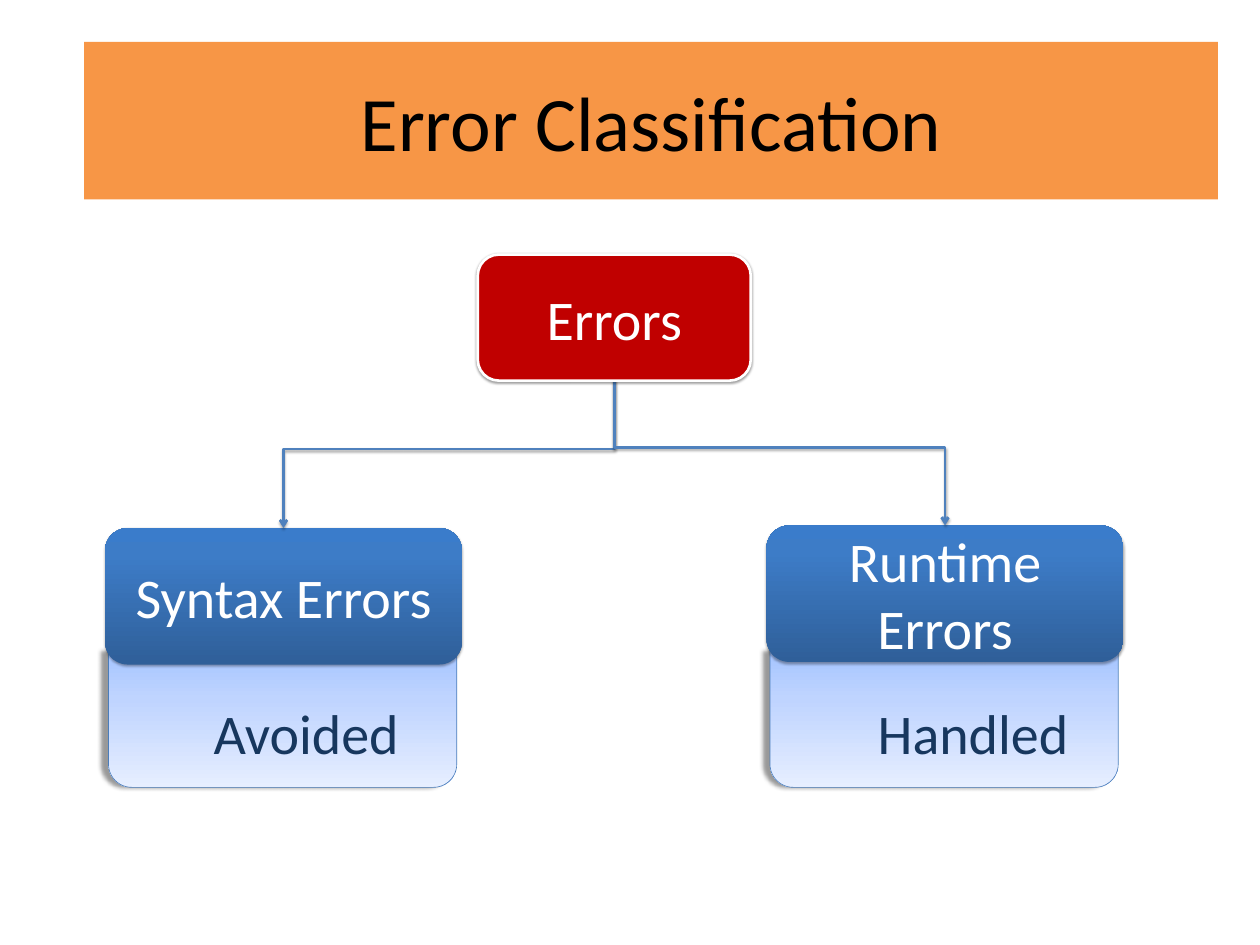
import dataclasses

import pptx
import pptx.dml.color
import pptx.enum.shapes
import pptx.enum.text
import pptx.oxml
import pptx.oxml.ns
import pptx.util

Pt = pptx.util.Pt
RGB = pptx.dml.color.RGBColor.from_string
SHAPE = pptx.enum.shapes.MSO_SHAPE
ALIGN = pptx.enum.text.PP_ALIGN
ANCHOR = pptx.enum.text.MSO_ANCHOR
qn = pptx.oxml.ns.qn
NAMESPACE = pptx.oxml.ns.nsdecls("a")


@dataclasses.dataclass(frozen=True)
class Theme:
    font: str = "Calibri"
    title_size: int = 88
    body_size: int = 64
    title_fill: str = "F79646"
    title_text: str = "000000"
    root_fill: str = "C00000"
    light: str = "FFFFFF"
    outcome_text: str = "17375E"
    outcome_line: str = "4B7EBC"
    arrow: str = "4F81BD"
    card_stops: tuple = ((0, "2F5F99"), (80, "3D7CC7"), (100, "3A7CCB"))
    outcome_stops: tuple = ((0, "A4C4FF"), (35, "BFD4FF"), (100, "E6EEFF"))


THEME = Theme()
CENTERED = {"margin_left": Pt(14.4), "margin_right": Pt(14.4),
            "margin_top": Pt(7.2), "margin_bottom": Pt(7.2),
            "vertical_anchor": ANCHOR.MIDDLE, "word_wrap": True}
LABEL = {"word_wrap": False,
         "auto_size": pptx.enum.text.MSO_AUTO_SIZE.SHAPE_TO_FIT_TEXT}


def apply_format(target, values):
    for name, value in values.items():
        setattr(target, name, value)


def write_text(box, text, size, color, frame_format, align=ALIGN.CENTER):
    frame = box.text_frame
    apply_format(frame, frame_format)
    para = frame.paragraphs[0]
    para.alignment = align
    span = para.add_run()
    span.text = text
    apply_format(span.font, {"name": THEME.font, "size": Pt(size)})
    span.font.color.rgb = RGB(color)


def add_shadow(item, opacity, blur, distance, direction):
    properties = item._element.spPr
    for effects in properties.findall(qn("a:effectLst")):
        properties.remove(effects)
    properties.append(pptx.oxml.parse_xml(
        f'<a:effectLst {NAMESPACE}><a:outerShdw blurRad="{Pt(blur)}" dist="{Pt(distance)}" '
        f'dir="{direction * 60000}" algn="ctr" rotWithShape="0"><a:srgbClr val="000000">'
        f'<a:alpha val="{opacity * 1000}"/></a:srgbClr></a:outerShdw></a:effectLst>'))


def fill_gradient(shape, stops, angle):
    marks = "".join(f'<a:gs pos="{position * 1000}"><a:srgbClr val="{color}"/></a:gs>'
                    for position, color in stops)
    shape._element.spPr.find(qn("a:prstGeom")).addnext(pptx.oxml.parse_xml(
        f'<a:gradFill {NAMESPACE} rotWithShape="1"><a:gsLst>{marks}</a:gsLst>'
        f'<a:lin ang="{angle * 60000}" scaled="0"/></a:gradFill>'))


def fill_solid(shape, color):
    shape.fill.solid()
    shape.fill.fore_color.rgb = RGB(color)


def set_line(item, color, width):
    item.line.color.rgb = RGB(color)
    item.line.width = Pt(width)


def add_block(page, kind, left, top, width, height):
    shape = page.shapes.add_shape(kind, Pt(left), Pt(top), Pt(width), Pt(height))
    shape.shadow.inherit = False
    return shape


def add_title(page, text):
    title = page.shapes.title
    apply_format(title, {"left": Pt(96), "top": Pt(48), "width": Pt(1296), "height": Pt(180)})
    title._element.spPr.find(qn("a:xfrm")).addnext(pptx.oxml.parse_xml(
        f'<a:prstGeom {NAMESPACE} prst="roundRect"><a:avLst/></a:prstGeom>'))
    fill_solid(title, THEME.title_fill)
    write_text(title, text, THEME.title_size, THEME.title_text,
               CENTERED | {"auto_size": pptx.enum.text.MSO_AUTO_SIZE.NONE})


def add_outcome(page, text, center, label_left, label_width):
    tray = add_block(page, SHAPE.ROUND_2_SAME_RECTANGLE, center - 200, 743.8, 398, 156)
    tray.adjustments[0] = 0
    tray.adjustments[1] = 0.17
    fill_gradient(tray, THEME.outcome_stops, 90)
    set_line(tray, THEME.outcome_line, 0.75)
    add_shadow(tray, 40, 5, 8, 180)
    label = page.shapes.add_textbox(Pt(label_left), Pt(795), Pt(label_width), Pt(85))
    write_text(label, text, THEME.body_size, THEME.outcome_text, LABEL, ALIGN.LEFT)


def add_card(page, text, center, top):
    card = add_block(page, SHAPE.ROUNDED_RECTANGLE, center - 204, top, 408, 156)
    fill_gradient(card, THEME.card_stops, 270)
    card.line.fill.background()
    add_shadow(card, 35, 3.1, 1.8, 90)
    write_text(card, text, THEME.body_size, THEME.light, CENTERED)


def add_branch(page, start_x, start_y, end_x, end_y):
    middle_x, middle_y = (start_x + end_x) / 2, (start_y + end_y) / 2
    goes_right = end_x > start_x
    run = (end_y - start_y) / 2 * (-1 if goes_right else 1)
    drop = abs(end_x - start_x) / 2
    branch = page.shapes.add_connector(
        pptx.enum.shapes.MSO_CONNECTOR.ELBOW, Pt(middle_x - run), Pt(middle_y - drop),
        Pt(middle_x + run), Pt(middle_y + drop))
    branch._element.spPr.find(qn("a:xfrm")).set("rot", str((270 if goes_right else 90) * 60000))
    set_line(branch, THEME.arrow, 3)
    branch.line._get_or_add_ln().append(
        pptx.oxml.parse_xml(f'<a:tailEnd {NAMESPACE} type="arrow"/>'))
    add_shadow(branch, 35, 3.1, 1.8, 90)


def add_root(page, text, center):
    root = add_block(page, SHAPE.ROUNDED_RECTANGLE, center - 156, 291, 312, 144)
    fill_solid(root, THEME.root_fill)
    set_line(root, THEME.light, 3)
    add_shadow(root, 38, 3.1, 1.6, 90)
    write_text(root, text, THEME.body_size, THEME.light, CENTERED)


def main():
    deck = pptx.Presentation()
    apply_format(deck, {"slide_width": Pt(1440), "slide_height": Pt(1080)})
    page = deck.slides.add_slide(deck.slide_layouts[5])
    root_center = 702
    categories = (("Syntax Errors", root_center - 378, 603.5),
                  ("Runtime Errors", root_center + 378, 600.5))
    outcomes = (("Avoided", 237, 228), ("Handled", 996, 235))
    add_title(page, "Error Classification")
    for (category, center, top), (outcome, left, width) in zip(categories, outcomes):
        add_outcome(page, outcome, center, left, width)
        add_card(page, category, center, top)
    for category, center, top in categories:
        add_branch(page, root_center, 423, center, top)
    add_root(page, "Errors", root_center)
    deck.save("out.pptx")


if __name__ == "__main__":
    main()
